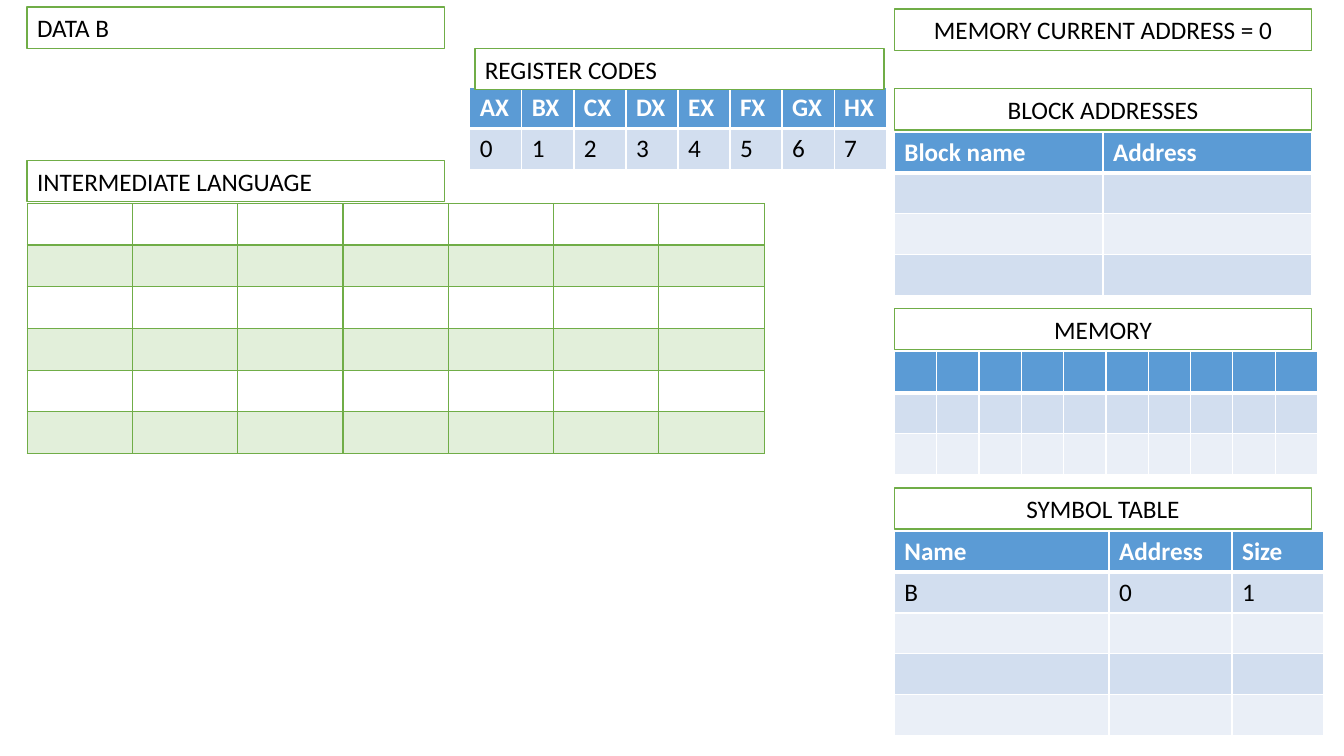
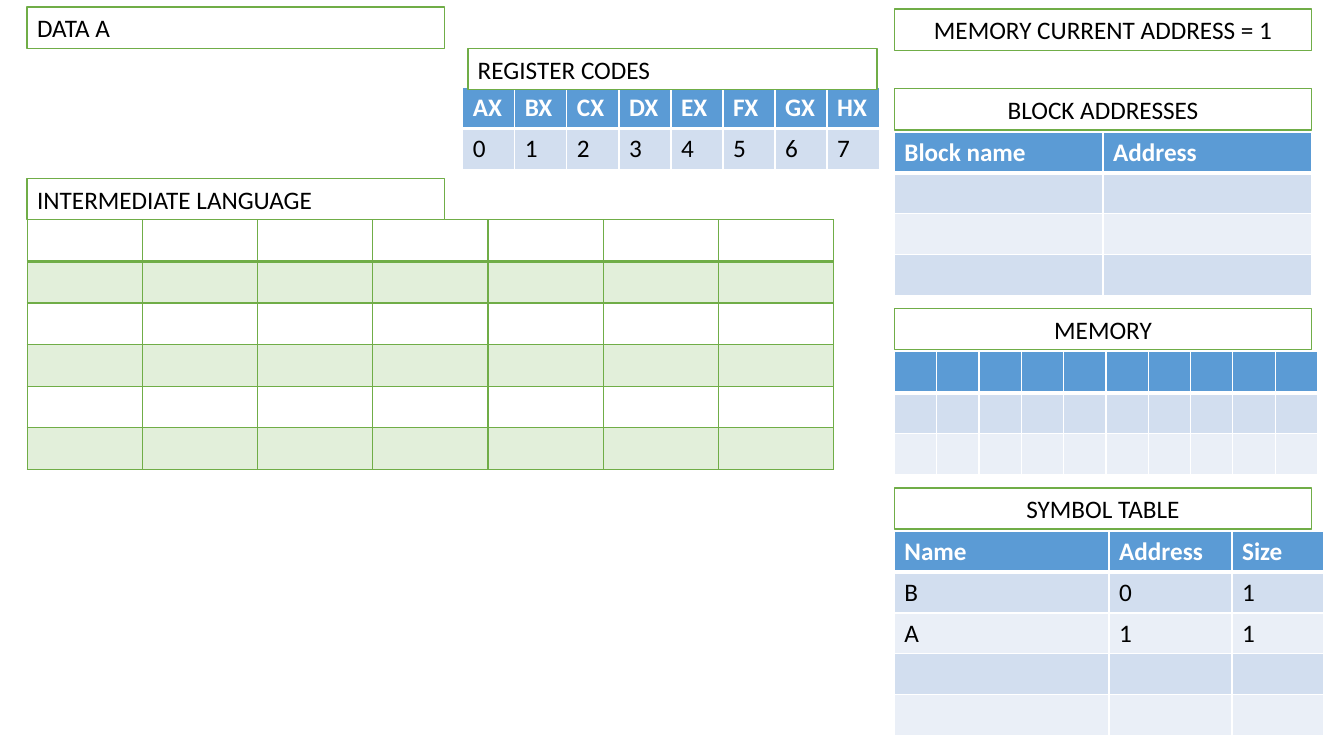
import pptx
import pptx.dml.color
import pptx.enum.shapes
import pptx.enum.text
import pptx.util
import lxml.etree
from pptx.util import Inches

COLORS = {
    "white": "FFFFFF",
    "black": "000000",
    "blue": "5B9BD5",
    "blue_mid": "D2DEEF",
    "blue_pale": "EAEFF7",
    "green": "70AD47",
    "green_pale": "E2EFDA",
}
# Header fill, body fills in turn, header text, border colour, header rule width
BLUE_STYLE = dict(header="blue", bands=("blue_mid", "blue_pale"),
                  header_text="white", border="white", rule=3)
GREEN_STYLE = dict(header=None, bands=("green_pale", None),
                   header_text="black", border="green", rule=2)
FONT = "Calibri"
LINE_HEIGHT = 0.41          # captions and table rows, inches
TABLE_GAP = 0.02            # between a caption and its table
LEFT, RIGHT, PANEL_WIDTH = 0.27, 8.87, 4.14
CENTER = pptx.enum.text.PP_ALIGN.CENTER
DRAWING = "http://schemas.openxmlformats.org/drawingml/2006/main"


def rgb(name):
    return pptx.dml.color.RGBColor.from_string(COLORS[name])


def format_text(frame, color, bold=False):
    for para in frame.paragraphs:
        for span in para.runs:
            span.font.name = FONT
            span.font.size = pptx.util.Pt(18)
            span.font.bold = bold
            span.font.color.rgb = rgb(color)


def set_border(cell, side, color, points):
    properties = cell._tc.get_or_add_tcPr()
    line = lxml.etree.SubElement(properties, f"{{{DRAWING}}}ln{side}",
                                 w=str(pptx.util.Pt(points)))
    fill = lxml.etree.SubElement(line, f"{{{DRAWING}}}solidFill")
    lxml.etree.SubElement(fill, f"{{{DRAWING}}}srgbClr", val=COLORS[color])


def add_caption(page, text, left, top, width=PANEL_WIDTH, align=None):
    box = page.shapes.add_shape(
        pptx.enum.shapes.MSO_SHAPE.RECTANGLE,
        Inches(left), Inches(top), Inches(width), Inches(LINE_HEIGHT))
    box.shadow.inherit = False
    box.fill.solid()
    box.fill.fore_color.rgb = rgb("white")
    box.line.color.rgb = rgb("green")
    box.line.width = pptx.util.Pt(1)
    frame = box.text_frame
    frame.text = text
    frame.word_wrap = True
    frame.vertical_anchor = pptx.enum.text.MSO_ANCHOR.MIDDLE
    frame.paragraphs[0].alignment = align or pptx.enum.text.PP_ALIGN.LEFT
    format_text(frame, "black")


def add_grid(page, left, top, widths, row_count, style, texts=(), row_height=LINE_HEIGHT):
    """Table with a header row and banded body; texts fill it from the top."""
    table = page.shapes.add_table(
        row_count, len(widths), Inches(left), Inches(top),
        Inches(sum(widths)), Inches(row_count * row_height)).table
    for column, width in zip(table.columns, widths):
        column.width = Inches(width)
    for row_index, row in enumerate(table.rows):
        row.height = Inches(row_height)
        is_header = row_index == 0
        values = texts[row_index] if row_index < len(texts) else [""] * len(widths)
        fill = style["header"] if is_header else style["bands"][(row_index - 1) % 2]
        rules = {"T": style["rule"] if row_index == 1 else 1,
                 "B": style["rule"] if is_header else 1}
        for cell, value in zip(row.cells, values):
            for side in "LRTB":
                set_border(cell, side, style["border"], rules.get(side, 1))
            if fill:
                cell.fill.solid()
                cell.fill.fore_color.rgb = rgb(fill)
            else:
                cell.fill.background()
            if value:
                cell.text_frame.text = value
                format_text(cell.text_frame,
                            style["header_text"] if is_header else "black", is_header)


# Right-hand column: memory state, block addresses, memory and symbols
def add_memory_panels(page, left, current_address, symbols):
    add_caption(page, f"MEMORY CURRENT ADDRESS = {current_address}", left, 0.09, align=CENTER)
    panels = [
        ("BLOCK ADDRESSES", 0.88, [PANEL_WIDTH / 2] * 2, 4, [("Block name", "Address")]),
        ("MEMORY", 3.06, [0.42] * 10, 3, []),
        ("SYMBOL TABLE", 4.84, [2.13, 1.22, 0.91], 5, [("Name", "Address", "Size"), *symbols]),
    ]
    for title, top, widths, row_count, texts in panels:
        add_grid(page, left, top + LINE_HEIGHT + TABLE_GAP, widths, row_count,
                 BLUE_STYLE, texts, row_height=0.405)
        add_caption(page, title, left, top, align=CENTER)


# Middle: register names and their codes
def add_register_codes(page, left, top):
    names = [letter + "X" for letter in "ABCDEFGH"]
    codes = [str(code) for code in range(len(names))]
    add_grid(page, left, top + 0.39, [4.13 / len(names)] * len(names), 2,
             BLUE_STYLE, [names, codes], row_height=0.405)
    add_caption(page, "REGISTER CODES", left + 0.05, top, width=4.06)


# Left: intermediate code, empty at this stage
def add_intermediate_language(page, left, top, table_top, width):
    add_grid(page, left, table_top, [width / 7] * 7, 6, GREEN_STYLE, row_height=0.413)
    add_caption(page, "INTERMEDIATE LANGUAGE", left, top)


def add_step(deck, name, address, symbols, register_left, language):
    page = deck.slides.add_slide(deck.slide_layouts[6])
    add_memory_panels(page, RIGHT, address, symbols)
    add_intermediate_language(page, LEFT, **language)
    add_caption(page, f"DATA {name}", LEFT, 0.07)
    add_register_codes(page, register_left, 0.48)


def main():
    deck = pptx.Presentation()
    deck.slide_width, deck.slide_height = Inches(13.33), Inches(7.5)
    symbols = [("B", "0", "1"), ("A", "1", "1")]
    add_step(deck, "B", 0, symbols[:1], register_left=4.66,
             language=dict(top=1.59, table_top=2.02, width=7.31))
    add_step(deck, "A", 1, symbols, register_left=4.59,
             language=dict(top=1.77, table_top=2.18, width=8))
    deck.save("out.pptx")


if __name__ == "__main__":
    main()
